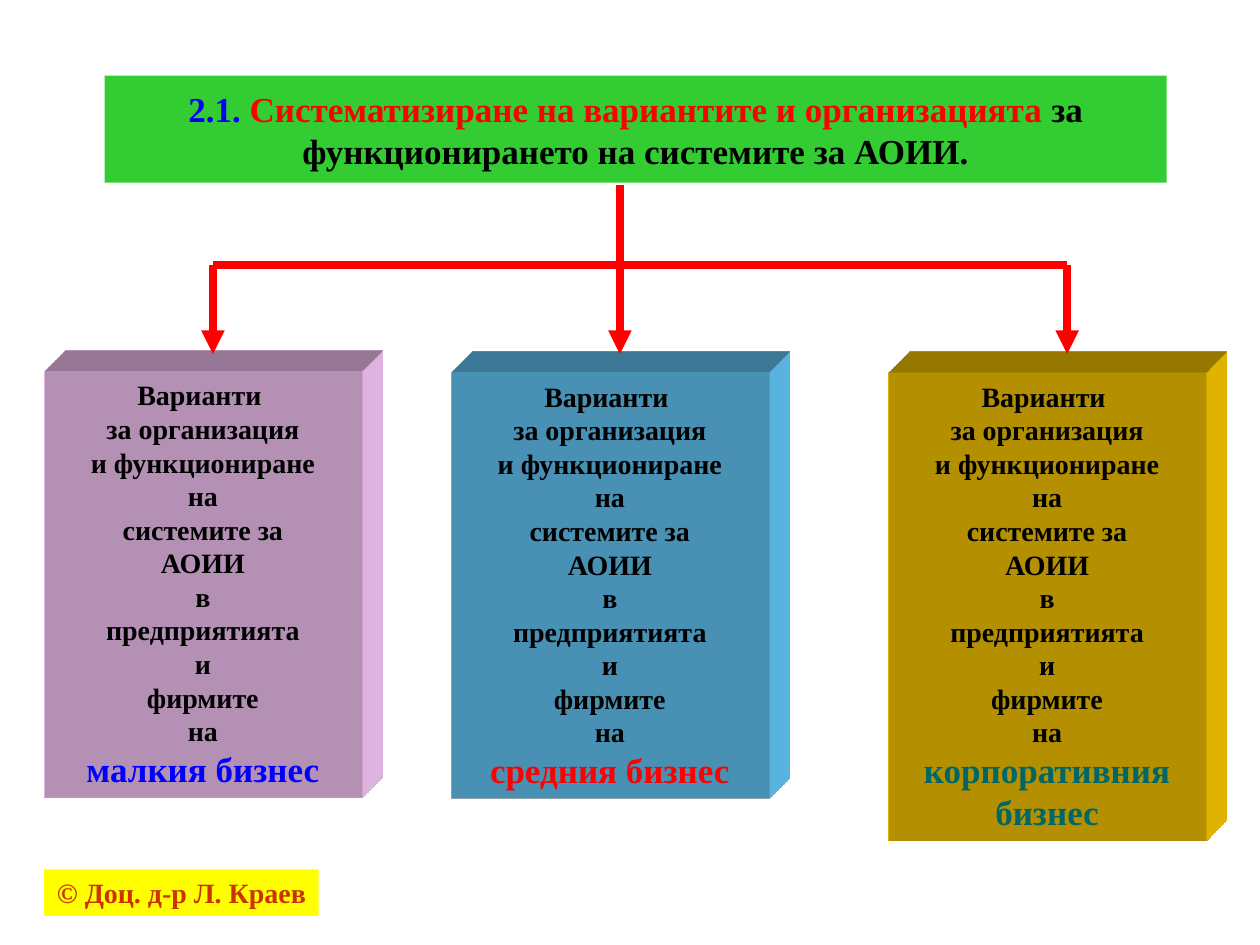
from lxml import etree
from pptx import Presentation
from pptx.dml.color import RGBColor
from pptx.enum import shapes, text
from pptx.oxml import parse_xml
from pptx.oxml.ns import nsdecls, qn
from pptx.util import Inches, Pt

COLORS = {
    "green": "33CC33", "yellow": "FFFF00", "pink": "FFCCFF", "sky": "66CCFF",
    "gold": "FFCC00", "blue": "0000FF", "red": "FF0000", "black": "000000",
    "teal": "006666", "rust": "CC3300",
}

VARIANT_TEXT = ("Варианти \vза организация\vи функциониране\vна\vсистемите за\v"
                "АОИИ\vв\vпредприятията\vи\vфирмите\vна\v")


class Diagram:
    """Holds the style and the current slide."""

    font = "Times New Roman"

    def __init__(self, slide):
        self.slide = slide

    def color(self, name):
        return RGBColor.from_string(COLORS[name])

    def place(self, shape, left, top, width, height):
        shape.left, shape.top = Inches(left), Inches(top)
        shape.width, shape.height = Inches(width), Inches(height)

    def fill(self, shape, name):
        shape.fill.solid()
        shape.fill.fore_color.rgb = self.color(name)

    def set_text(self, shape, parts, anchor):
        """Fill a shape with one centred paragraph of (text, size, colour) parts."""
        frame = shape.text_frame
        frame.vertical_anchor = anchor
        paragraph = frame.paragraphs[0]
        for words, size, name in parts:
            # A vertical tab marks a line break
            for i, line in enumerate(words.split("\v")):
                if i:
                    paragraph.add_line_break()
                if line:
                    run = paragraph.add_run()
                    run.text = line
                    run.font.name = self.font
                    run.font.bold = True
                    run.font.size = Pt(size)
                    run.font.color.rgb = self.color(name)
        for line_break in paragraph._p.findall(qn("a:br")):
            etree.SubElement(line_break, qn("a:rPr"), sz=str(parts[0][1] * 100))
        paragraph.alignment = text.PP_ALIGN.CENTER
        return frame

    def title(self, parts, *box):
        heading = self.slide.shapes.title
        self.place(heading, *box)
        self.fill(heading, "green")
        frame = self.set_text(heading, parts, text.MSO_ANCHOR.MIDDLE)
        frame.auto_size = text.MSO_AUTO_SIZE.NONE
        frame.paragraphs[0].line_spacing = 1.0
        frame.paragraphs[0].space_before = Pt(0)

    def label(self, words, size, ink, back, *box):
        credit = self.slide.shapes.add_textbox(*map(Inches, box))
        self.fill(credit, back)
        frame = self.set_text(credit, [(words, size, ink)], text.MSO_ANCHOR.TOP)
        frame.word_wrap = False
        frame.auto_size = text.MSO_AUTO_SIZE.SHAPE_TO_FIT_TEXT

    def block(self, parts, back, *box):
        """A rectangle extruded towards the upper right."""
        block = self.slide.shapes.add_shape(
            shapes.MSO_SHAPE.RECTANGLE, *map(Inches, box))
        block.shadow.inherit = False
        self.fill(block, back)
        block.line.fill.background()
        frame = self.set_text(block, parts, text.MSO_ANCHOR.TOP)
        frame.word_wrap = True
        frame.auto_size = text.MSO_AUTO_SIZE.SHAPE_TO_FIT_TEXT
        properties = block._element.spPr
        properties.append(parse_xml(
            f'<a:scene3d {nsdecls("a")}><a:camera prst="legacyObliqueTopRight"/>'
            '<a:lightRig rig="legacyFlat3" dir="b"/></a:scene3d>'))
        properties.append(parse_xml(
            f'<a:sp3d {nsdecls("a")} extrusionH="430200" prstMaterial="legacyMatte">'
            '<a:bevelT w="13500" h="13500" prst="angle"/>'
            '<a:bevelB w="13500" h="13500" prst="angle"/>'
            f'<a:extrusionClr><a:srgbClr val="{COLORS[back]}"/></a:extrusionClr>'
            '</a:sp3d>'))

    def line(self, x1, y1, x2, y2, arrow=False):
        line = self.slide.shapes.add_connector(
            shapes.MSO_CONNECTOR.STRAIGHT, *map(Inches, (x1, y1, x2, y2)))
        line.line.color.rgb = self.color("red")
        line.line.width = Pt(4.5)
        properties = line._element.spPr
        if arrow:
            etree.SubElement(properties.find(qn("a:ln")), qn("a:tailEnd"),
                             type="triangle")
        etree.SubElement(properties, qn("a:effectLst"))


def main():
    deck = Presentation()
    deck.slide_width, deck.slide_height = Inches(10), Inches(7.5)
    diagram = Diagram(deck.slides.add_slide(deck.slide_layouts[5]))

    # Heading and author
    diagram.title([("2.1. ", 20, "blue"),
                   ("Систематизиране на вариантите и организацията", 20, "red"),
                   (" за функционирането на системите за АОИИ.", 20, "black")],
                  0.83, 0.6, 8.43, 0.85)
    diagram.label("© Доц. д-р Л. Краев", 16, "rust", "yellow",
                  0.35, 6.9, 2.18, 0.37)

    # One block per business size
    variants = [
        ("малкия бизнес", "blue", "pink", 0.35, 2.95, 3.38),
        ("средния бизнес", "red", "sky", 3.58, 2.96, 3.38),
        ("корпоративния бизнес", "teal", "gold", 7.05, 2.96, 3.71),
    ]
    for business, ink, back, left, top, height in variants:
        diagram.block([(VARIANT_TEXT, 16, "black"), (business, 20, ink)],
                      back, left, top, 2.52, height)

    # Trunk, crossbar and an arrow to each block
    branches = [1.69, 4.92, 8.47]
    fork, tip = 2.1, 2.81
    diagram.line(branches[1], 1.47, branches[1], fork)
    diagram.line(branches[0], fork, branches[-1], fork)
    for x in branches:
        diagram.line(x, fork, x, tip, arrow=True)

    deck.save("out.pptx")


if __name__ == "__main__":
    main()
